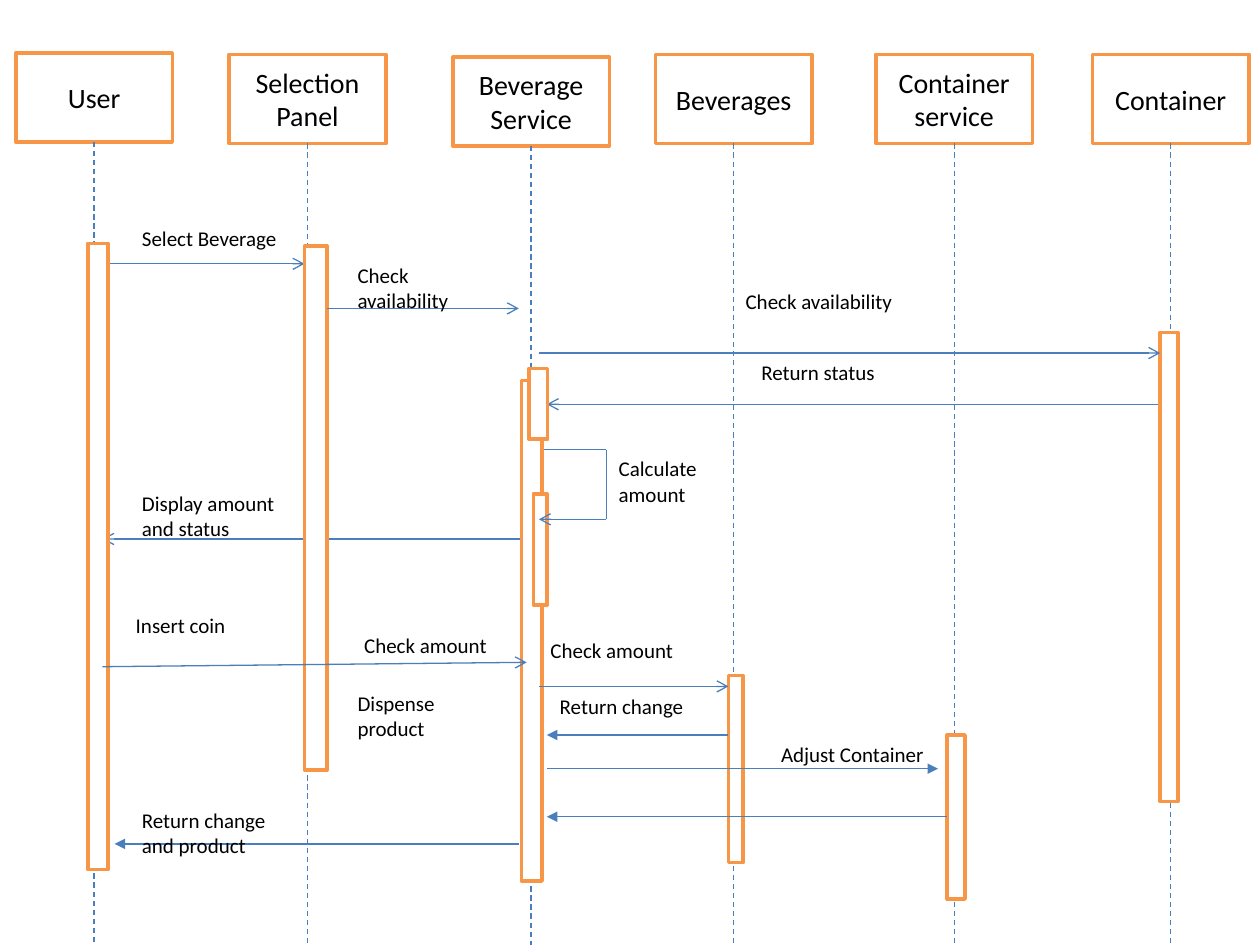
"""Build a sequence diagram of a beverage vending machine."""
import pptx
import pptx.dml.color
import pptx.enum.dml
import pptx.enum.shapes
import pptx.enum.text
import pptx.oxml.ns
import pptx.util
from lxml import etree

BOX_WIDTH, BOX_HEIGHT = 89.5, 51
LIFELINE_END = 540

PARTICIPANTS = [
    ("User", 9, 30.25),
    ("Selection Panel", 131, 31),
    ("Beverage Service", 258.75, 32.5),
    ("Beverages", 374.5, 31),
    ("Container service", 500.5, 31),
    ("Container", 624.25, 31),
]
ACTIVATIONS = [
    (174, 140.5, 13, 299.5),
    (50.25, 139, 11.5, 358),
    (298, 217.5, 11.75, 286),
    (416.25, 386, 8.25, 107),
    (663, 190, 10.25, 268),
    (302.25, 210.5, 10.75, 40.5),
    (304.75, 282.25, 8, 63.5),
    (541.25, 420, 10.25, 93.75),
]
BACK_MESSAGES = [
    (672.5, 231, 312.5, 231, "arrow"),
    (301, 257, 346.5, 257, None),
    (346.5, 257, 346.5, 296.75, None),
    (301.5, 308, 58.5, 308, "arrow"),
    (58.5, 150.75, 174, 150.75, "arrow"),
]
FRONT_MESSAGES = [
    (187, 176.25, 296.5, 176.25, "arrow"),
    (308, 392.25, 416.25, 392.25, "arrow"),
    (308, 201.75, 663, 201.75, "arrow"),
    (346.5, 296.75, 308, 296.75, "arrow"),
    (58.5, 381, 301, 378.5, "arrow"),
    (416.25, 420, 312.5, 420, "triangle"),
    (312.5, 439.25, 536, 439.25, "triangle"),
    (541.25, 466.75, 312.5, 466.75, "triangle"),
    (296.5, 482.25, 65.5, 482.25, "triangle"),
]
LABELS = [
    ("Select Beverage", 74, 125.5, 96, 21.75),
    ("Check availability", 197.25, 146.25, 97, 36),
    ("Check availability", 419, 161.5, 185, 21.75),
    ("Return status", 428, 202, 185, 21.75),
    ("Calculate amount", 346.5, 257, 64, 36),
    ("Display amount and status", 74, 276.75, 105, 36),
    ("Insert coin", 70.5, 346.25, 91.5, 21.75),
    ("Check amount", 307.5, 361, 108.5, 21.75),
    ("Dispense product", 197.25, 391, 96.5, 36),
    ("Check amount", 201, 358, 106.5, 21.75),
    ("Return change", 312.75, 392.5, 98, 21.75),
    ("Adjust Container", 439.25, 420, 96.5, 21.75),
    ("Return change and product", 74, 458, 96, 36),
]


def color(value):
    """Return the colour for a hex string."""
    return pptx.dml.color.RGBColor.from_string(value)


def points(*values):
    """Convert numbers in points to lengths."""
    return [pptx.util.Pt(value) for value in values]


class SequenceDiagram:
    """Hold the style and the current slide."""

    font = "Calibri"
    text_color = "000000"
    fill = "FFFFFF"
    outline = "F79646"
    line_color = "4B7EBC"

    def __init__(self, slide):
        """Draw on the given slide."""
        self.slide = slide

    def add_text(self, text_frame, text, size):
        """Add one styled run to a text frame."""
        text_frame.word_wrap = True
        run = text_frame.paragraphs[0].add_run()
        run.text = text
        run.font.name = self.font
        run.font.size = pptx.util.Pt(size)
        run.font.color.rgb = color(self.text_color)

    def bar(self, left, top, width, height):
        """Add an outlined rectangle."""
        shape = self.slide.shapes.add_shape(
            pptx.enum.shapes.MSO_SHAPE.RECTANGLE, *points(left, top, width, height))
        shape.shadow.inherit = False
        shape.fill.solid()
        shape.fill.fore_color.rgb = color(self.fill)
        shape.line.color.rgb = color(self.outline)
        shape.line.width = pptx.util.Pt(2)
        return shape

    def line(self, start_x, start_y, end_x, end_y, head=None, dashed=False):
        """Add a line with an optional arrowhead or dashes."""
        connector = self.slide.shapes.add_connector(
            pptx.enum.shapes.MSO_CONNECTOR.STRAIGHT,
            *points(start_x, start_y, end_x, end_y))
        connector.line.color.rgb = color(self.line_color)
        connector.line.width = pptx.util.Pt(0.75)
        if dashed:
            connector.line.dash_style = pptx.enum.dml.MSO_LINE.DASH
        properties = connector._element.spPr
        if head:
            outline = properties.find(pptx.oxml.ns.qn("a:ln"))
            etree.SubElement(outline, pptx.oxml.ns.qn("a:tailEnd"), type=head)
        etree.SubElement(properties, pptx.oxml.ns.qn("a:effectLst"))

    def participant(self, name, left, top):
        """Add a named box with its lifeline."""
        text_frame = self.bar(left, top, BOX_WIDTH, BOX_HEIGHT).text_frame
        text_frame.vertical_anchor = pptx.enum.text.MSO_ANCHOR.MIDDLE
        text_frame.paragraphs[0].alignment = pptx.enum.text.PP_ALIGN.CENTER
        self.add_text(text_frame, name, 16)
        center = left + BOX_WIDTH / 2
        self.line(center, top + BOX_HEIGHT, center, LIFELINE_END, dashed=True)

    def label(self, text, left, top, width, height):
        """Add a message label."""
        box = self.slide.shapes.add_textbox(*points(left, top, width, height))
        self.add_text(box.text_frame, text, 12)
        box.text_frame.auto_size = pptx.enum.text.MSO_AUTO_SIZE.SHAPE_TO_FIT_TEXT


def main():
    """Build and save the presentation."""
    presentation = pptx.Presentation()
    presentation.slide_width, presentation.slide_height = points(720, 540)
    slide = presentation.slides.add_slide(presentation.slide_layouts[6])
    diagram = SequenceDiagram(slide)
    for draw, items in [
        (diagram.participant, PARTICIPANTS),
        (diagram.line, BACK_MESSAGES),
        (diagram.bar, ACTIVATIONS),
        (diagram.line, FRONT_MESSAGES),
        (diagram.label, LABELS),
    ]:
        for item in items:
            draw(*item)
    presentation.save("out.pptx")


if __name__ == "__main__":
    main()
